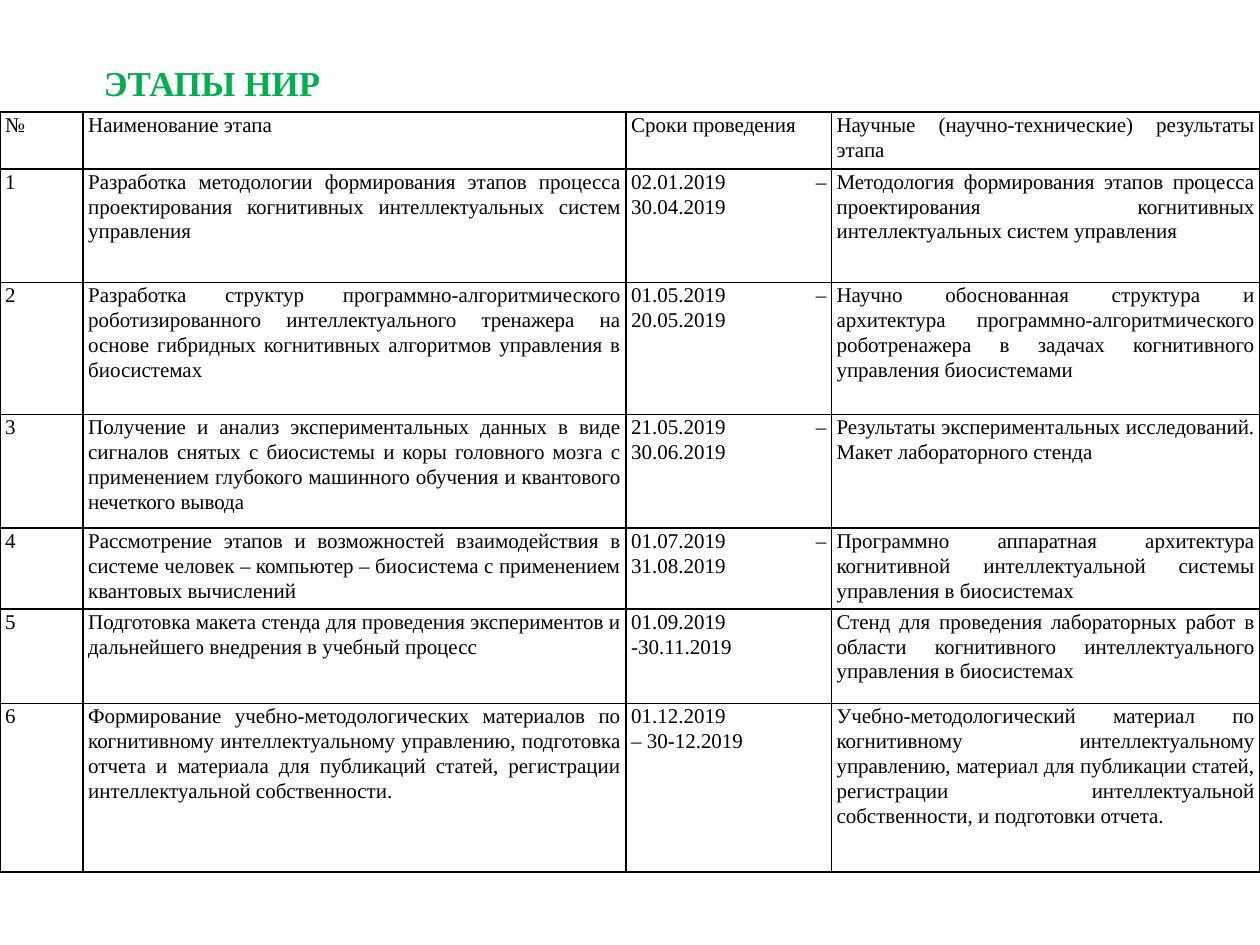
from lxml import etree
from pptx import Presentation
from pptx.dml.color import RGBColor
from pptx.enum.text import MSO_AUTO_SIZE, PP_ALIGN
from pptx.oxml.ns import qn
from pptx.util import Inches, Pt

BLACK = RGBColor(0x00, 0x00, 0x00)
GREEN = RGBColor(0x00, 0xB0, 0x50)
FONT = "Times New Roman"
JUSTIFY = PP_ALIGN.JUSTIFY
RIGHT = PP_ALIGN.RIGHT
FIT_SHAPE = MSO_AUTO_SIZE.SHAPE_TO_FIT_TEXT

COLUMN_WIDTHS = [0.66, 4.31, 1.63, 3.4]
ROW_HEIGHTS = [0.45, 0.9, 1.05, 0.9, 0.6, 0.75, 1.34]
HEADER = ["№", "Наименование этапа", "Сроки проведения",
          "Научные (научно-технические) результаты этапа"]
STAGES = [
    ("Разработка методологии формирования этапов процесса проектирования "
     "когнитивных интеллектуальных систем управления",
     "02.01.2019 – 30.04.2019",
     "Методология формирования этапов процесса проектирования когнитивных "
     "интеллектуальных систем управления"),
    ("Разработка структур программно-алгоритмического роботизированного "
     "интеллектуального тренажера на основе гибридных когнитивных алгоритмов "
     "управления в биосистемах",
     "01.05.2019 – 20.05.2019",
     "Научно обоснованная структура и архитектура программно-алгоритмического "
     "роботренажера в задачах когнитивного управления биосистемами"),
    ("Получение и анализ экспериментальных данных в виде сигналов снятых с "
     "биосистемы и коры головного мозга с применением глубокого машинного "
     "обучения и квантового нечеткого вывода",
     "21.05.2019 – 30.06.2019",
     "Результаты экспериментальных исследований. Макет лабораторного стенда"),
    ("Рассмотрение этапов и возможностей взаимодействия в системе человек – "
     "компьютер – биосистема с применением квантовых вычислений",
     "01.07.2019 – 31.08.2019",
     "Программно аппаратная архитектура когнитивной интеллектуальной системы "
     "управления в биосистемах"),
    ("Подготовка макета стенда для проведения экспериментов и дальнейшего "
     "внедрения в учебный процесс",
     "01.09.2019 -30.11.2019",
     "Стенд для проведения лабораторных работ в области когнитивного "
     "интеллектуального управления в биосистемах"),
    ("Формирование учебно-методологических материалов по когнитивному "
     "интеллектуальному управлению, подготовка отчета и материала для "
     "публикаций статей, регистрации интеллектуальной собственности.",
     "01.12.2019\n– 30-12.2019",
     "Учебно-методологический материал по когнитивному интеллектуальному "
     "управлению, материал для публикации статей, регистрации "
     "интеллектуальной собственности, и подготовки отчета."),
]


def add_span(para, text, size, color, bold=False):
    span = para.add_run()
    span.text = text
    span.font.name = FONT
    span.font.size = Pt(size)
    span.font.bold = bold
    span.font.color.rgb = color


def add_title(page, text):
    box = page.shapes.add_textbox(Inches(0.12), Inches(0.44), Inches(2.52), Inches(0.44))
    frame = box.text_frame
    frame.word_wrap = True
    frame.auto_size = FIT_SHAPE
    para = frame.paragraphs[0]
    para.alignment = RIGHT
    add_span(para, text, 20, GREEN, bold=True)


def add_borders(cell):
    properties = cell._tc.get_or_add_tcPr()
    for index, side in enumerate(("lnL", "lnR", "lnT", "lnB")):
        line = etree.Element(qn(f"a:{side}"), w=str(Pt(1)))
        fill = etree.SubElement(line, qn("a:solidFill"))
        etree.SubElement(fill, qn("a:srgbClr"), val=str(BLACK))
        properties.insert(index, line)


def fill_cell(cell, text):
    cell.margin_left = cell.margin_right = Inches(0.04)
    cell.margin_top = cell.margin_bottom = 0
    cell.fill.background()
    add_borders(cell)
    frame = cell.text_frame
    for index, line in enumerate(text.split("\n")):
        para = frame.add_paragraph() if index else frame.paragraphs[0]
        para.alignment = JUSTIFY
        para.line_spacing = 1.07
        add_span(para, line, 12, BLACK)


def add_stage_table(page, rows):
    frame = page.shapes.add_table(len(rows), len(COLUMN_WIDTHS), 0, Inches(0.89),
                                  Inches(sum(COLUMN_WIDTHS)), Inches(sum(ROW_HEIGHTS)))
    table = frame.table
    table.first_row = False
    table.horz_banding = False
    for column, width in zip(table.columns, COLUMN_WIDTHS):
        column.width = Inches(width)
    for row, height, texts in zip(table.rows, ROW_HEIGHTS, rows):
        row.height = Inches(height)
        for cell, text in zip(row.cells, texts):
            fill_cell(cell, text)


def main():
    deck = Presentation()
    deck.slide_width = Inches(10)
    deck.slide_height = Inches(7.5)
    page = deck.slides.add_slide(deck.slide_layouts[6])
    add_title(page, "ЭТАПЫ НИР")
    numbered = [(str(number), *stage) for number, stage in enumerate(STAGES, 1)]
    add_stage_table(page, [HEADER, *numbered])
    deck.save("out.pptx")


if __name__ == "__main__":
    main()
